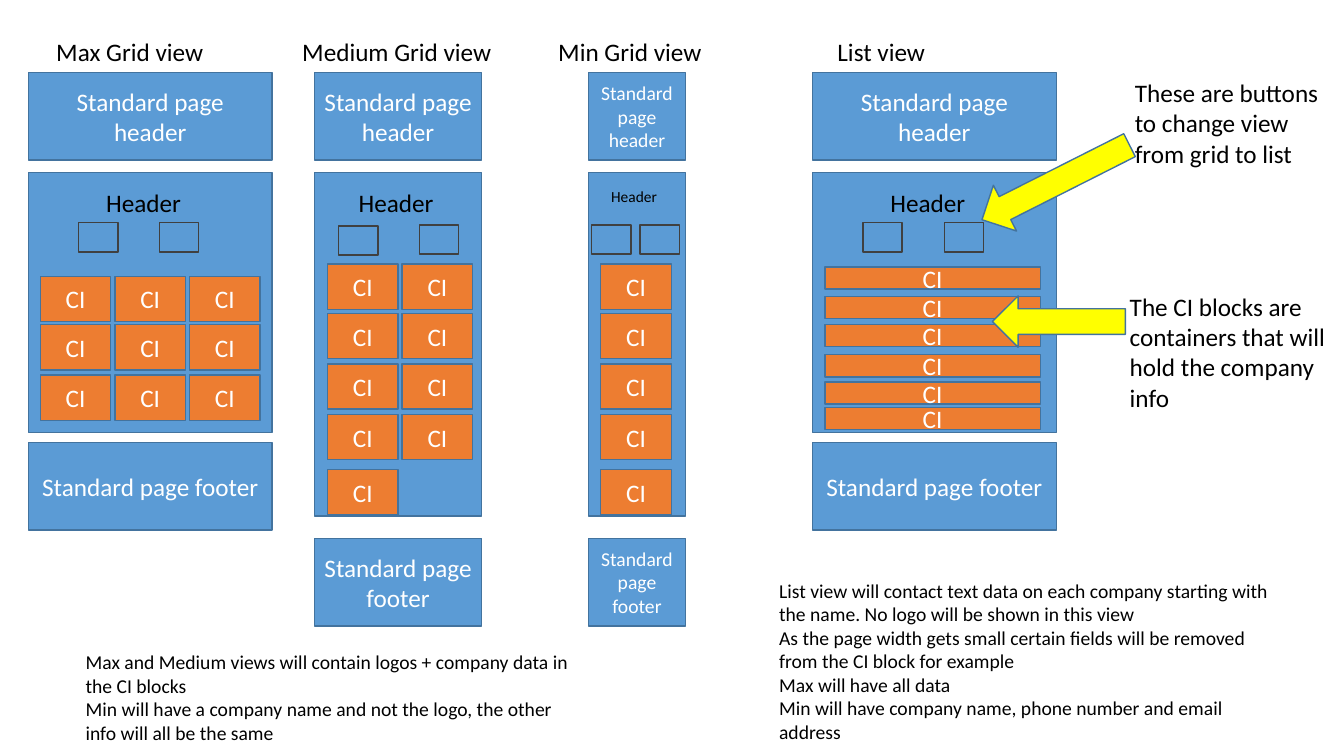
from dataclasses import dataclass

from pptx import Presentation
from pptx.dml.color import RGBColor
from pptx.enum import shapes, text
from pptx.util import Pt

HUES = {"page": "5B9BD5", "edge": "43739E", "cell": "ED7D31", "arrow": "FFFF00",
        "button": "404040", "white": "FFFFFF", "black": "000000"}
FONT = "Calibri"
KIND = shapes.MSO_SHAPE
TITLE_Y, HEAD_Y, BODY_Y, LABEL_Y = 22.3, 51.8, 123.1, 130.3
BAND_H, LABEL_H = 62.6, 28.8
BUTTON_W, BUTTON_H = 28.1, 20.9
CELL_GAP = 2.9


@dataclass
class Box:
    x: float
    y: float
    w: float
    h: float


@dataclass
class Grid:
    x: float
    rows: tuple[float, ...]
    cols: int
    count: int
    w: float = 50.4
    h: float = 32.4


@dataclass
class View:
    title: str
    title_x: float
    title_w: float
    x: float
    w: float
    body_h: float
    foot_y: float
    grid: Grid
    label_x: float
    label_w: float
    buttons: tuple[tuple[float, float], ...]
    size: int = 18
    label_size: int = 18


@dataclass
class Note:
    box: Box
    size: int
    lines: tuple[str, ...]


@dataclass
class Arrow:
    box: Box
    turn: float


TALL_ROWS = (188.6, 223.9, 259.9, 295.9, 335.5)
LIST_ROWS = (190.8, 211.7, 231.8, 253.4, 272.9, 290.9)

VIEWS = (
    View("Max Grid view", 33.1, 139, 20.2, 174.2, 185.8, 316.1,
         Grid(28.8, (197.3, 231.8, 267.8), 3, 9),
         33.1, 139, ((56.2, 159.1), (113.8, 159.1))),
    View("Medium Grid view", 208.8, 150.5, 224.6, 119.5, 245.5, 384.5,
         Grid(234, TALL_ROWS, 2, 9),
         238.3, 89.3, ((241.9, 161.3), (299.5, 160.6))),
    View("Min Grid view", 391.7, 139, 420.5, 69.1, 245.5, 384.5,
         Grid(429.1, TALL_ROWS, 1, 5),
         427, 51.8, ((422.6, 160.6), (457.2, 160.6)), 14, 11),
    View("List view", 591.1, 139, 580.3, 174.2, 185.8, 316.1,
         Grid(589.3, LIST_ROWS, 1, 6, 153.8, 15.8),
         593.3, 139, ((616.3, 159.1), (674.6, 159.1))),
)

NOTES = (
    Note(Box(54, 460.8, 365.8, 74.9), 14, (
        "Max and Medium views will contain logos + company data in the CI blocks",
        "Min will have a company name and not the logo, the other info will all be the same")),
    Note(Box(803.5, 51.8, 156.2, 72.7), 18, (
        "These are buttons to change view from grid to list",)),
    Note(Box(549.4, 409.7, 365.8, 126), 14, (
        "List view will contact text data on each company starting with the name. "
        "No logo will be shown in this view",
        "As the page width gets small certain fields will be removed from the CI block for example",
        "Max will have all data",
        "Min will have company name, phone number and email address")),
    Note(Box(799.9, 204.5, 156.2, 94.3), 18, (
        "The CI blocks are containers that will hold the company info",)),
)

ARROWS = (
    Arrow(Box(735.8, 71.3, 36.7, 118.1), 63.2),
    Arrow(Box(738, 182.2, 36.7, 95), 90),
)


def tint(name: str) -> RGBColor:
    return RGBColor.from_string(HUES[name])


def spot(box: Box) -> tuple[Pt, Pt, Pt, Pt]:
    return Pt(box.x), Pt(box.y), Pt(box.w), Pt(box.h)


def write(frame, lines: tuple[str, ...], size: int, hue: str, align) -> None:
    frame.word_wrap = True
    for i, line in enumerate(lines):
        para = frame.paragraphs[0] if i == 0 else frame.add_paragraph()
        para.alignment = align
        run = para.add_run()
        run.text = line
        run.font.name = FONT
        run.font.size = Pt(size)
        run.font.color.rgb = tint(hue)


def label(slide, box: Box, lines: tuple[str, ...], size: int = 18,
          align=text.PP_ALIGN.LEFT) -> None:
    frame = slide.shapes.add_textbox(*spot(box)).text_frame
    write(frame, lines, size, "black", align)


def block(slide, box: Box, fill: str, words: str = "", size: int = 18,
          kind=KIND.RECTANGLE, edge: str = "edge"):
    shape = slide.shapes.add_shape(kind, *spot(box))
    shape.shadow.inherit = False
    shape.fill.solid()
    shape.fill.fore_color.rgb = tint(fill)
    shape.line.color.rgb = tint(edge)
    shape.line.width = Pt(1)
    if words:
        shape.text_frame.vertical_anchor = text.MSO_ANCHOR.MIDDLE
        write(shape.text_frame, (words,), size, "white", text.PP_ALIGN.CENTER)
    return shape


def cells(slide, grid: Grid) -> None:
    """Fill the grid row by row until its count is reached."""
    for i in range(grid.count):
        row, col = divmod(i, grid.cols)
        x = grid.x + col * (grid.w + CELL_GAP)
        block(slide, Box(x, grid.rows[row], grid.w, grid.h), "cell", "CI")


def draw(slide, view: View) -> None:
    label(slide, Box(view.title_x, TITLE_Y, view.title_w, LABEL_H), (view.title,))
    block(slide, Box(view.x, HEAD_Y, view.w, BAND_H), "page",
          "Standard page header", view.size)
    block(slide, Box(view.x, view.foot_y, view.w, BAND_H), "page",
          "Standard page footer", view.size)
    block(slide, Box(view.x, BODY_Y, view.w, view.body_h), "page")
    cells(slide, view.grid)
    label(slide, Box(view.label_x, LABEL_Y, view.label_w, LABEL_H), ("Header",),
          view.label_size, text.PP_ALIGN.CENTER)
    for x, y in view.buttons:
        block(slide, Box(x, y, BUTTON_W, BUTTON_H), "page",
              kind=KIND.ACTION_BUTTON_CUSTOM, edge="button")


def main() -> None:
    deck = Presentation()
    deck.slide_width, deck.slide_height = Pt(960), Pt(540)
    slide = deck.slides.add_slide(deck.slide_layouts[6])
    for view in VIEWS:
        draw(slide, view)
    for arrow in ARROWS:
        block(slide, arrow.box, "arrow", kind=KIND.DOWN_ARROW).rotation = arrow.turn
    for note in NOTES:
        label(slide, note.box, note.lines, note.size)
    deck.save("out.pptx")


if __name__ == "__main__":
    main()
